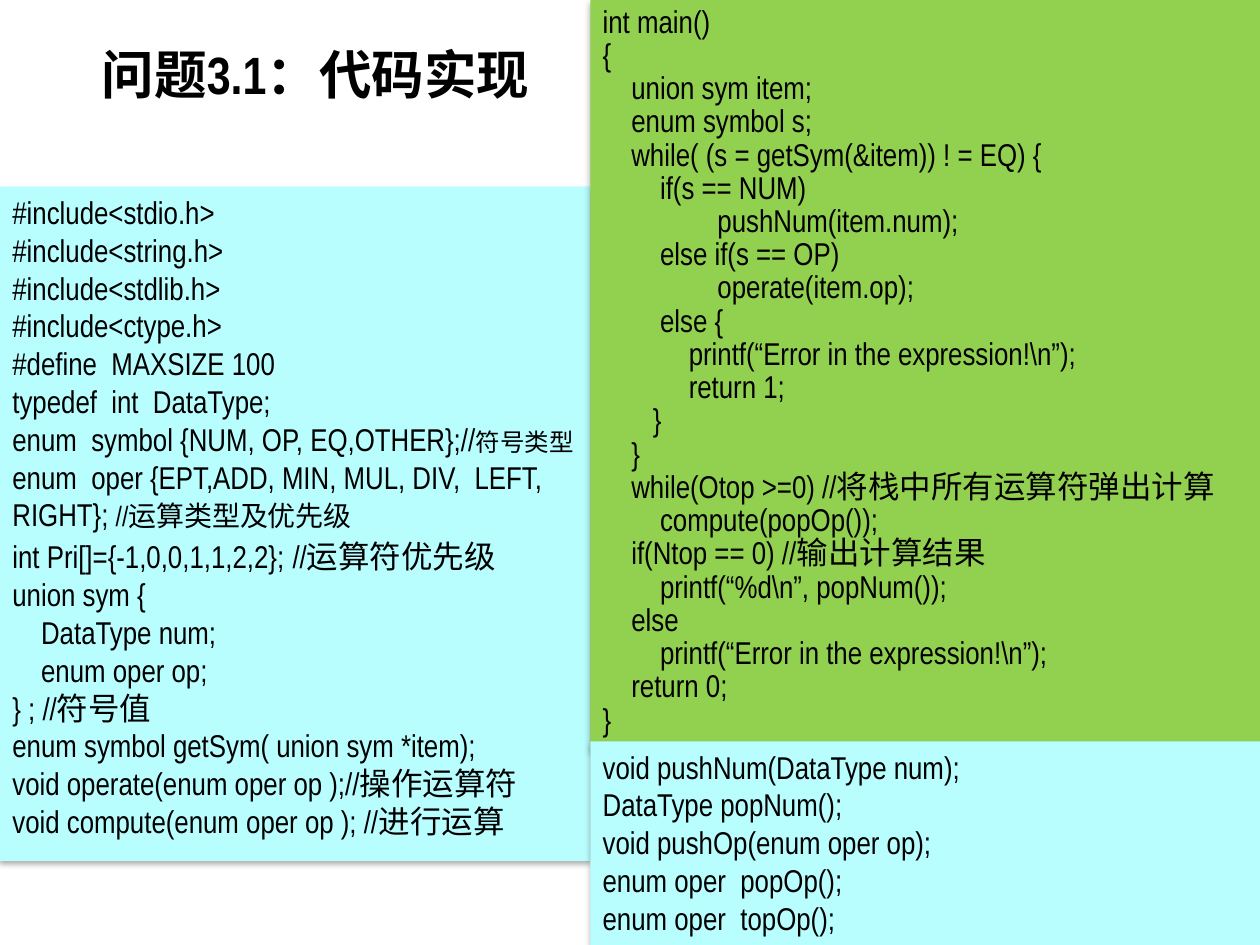
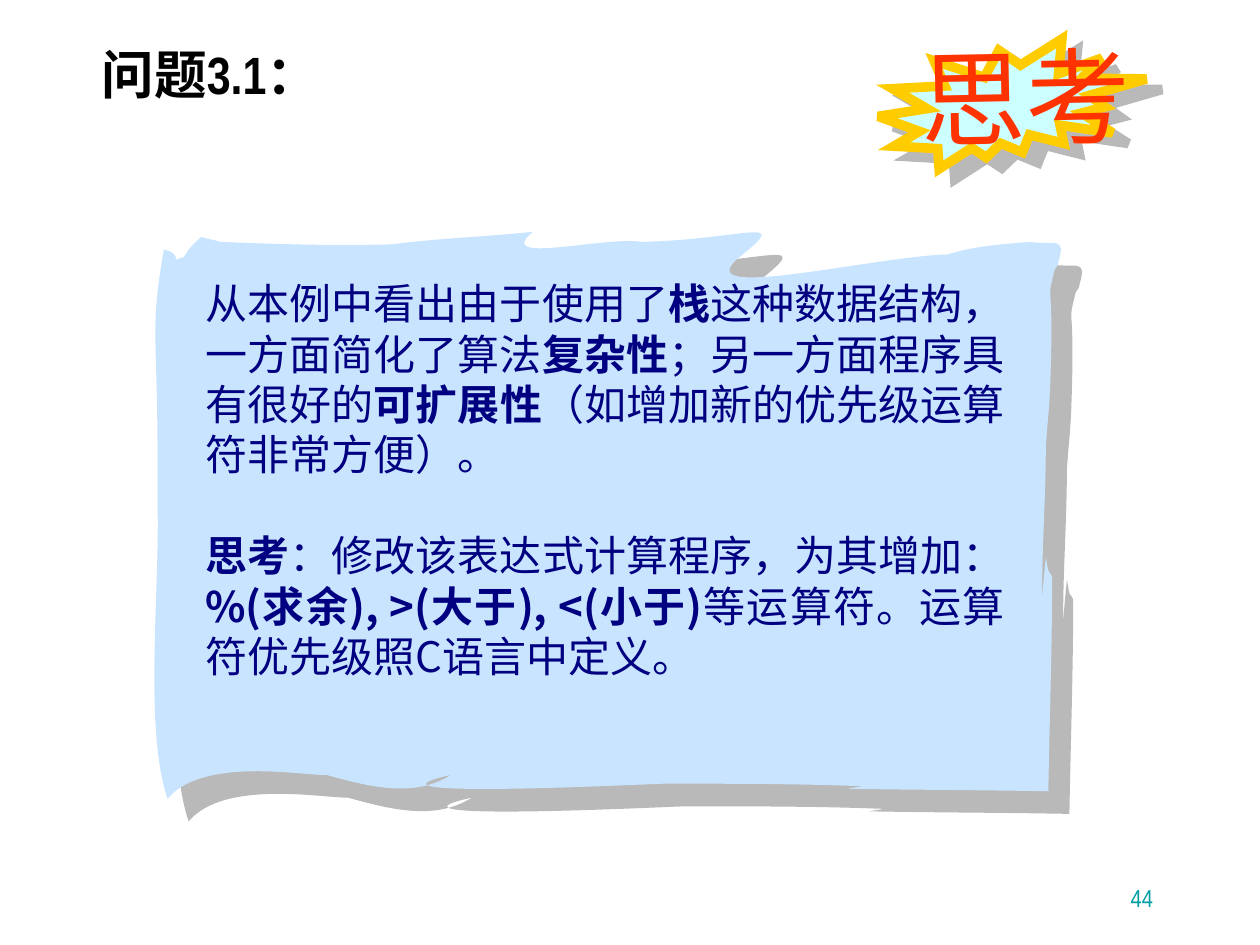
from pptx import Presentation
from pptx import util as u
from pptx.dml import color
from pptx.enum import shapes, text
from pptx.oxml import ns
from lxml import etree

theme = {
    "black": "000000", "cyan": "B9FEFF", "green": "92D050", "paper": "C9E4FF",
    "navy": "000080", "teal": "009EA1", "gray": "B9B9B9", "burst": "CCFFFF",
    "gold": "FFCC00", "red": "FF3300",
    "narrow": "Arial Narrow", "sans": "Noto Sans CJK SC", "display": "Noto Sans CJK JP",
    "title": 30, "code": 18, "gap": 20, "comment": 16, "small": 14, "body": 24, "word": 60,
}
title_format = {"latin": "narrow", "east": "display", "size": "title", "color": "black", "bold": True}
code_format = {"latin": "narrow", "east": "display", "size": "code", "color": "black", "bold": False}
body_format = {"latin": "sans", "east": "sans", "size": "body", "color": "navy", "bold": False}
number_format = {"latin": "narrow", "east": "display", "size": "small", "color": "teal", "bold": False}
word_format = {"latin": "display", "east": "display", "size": "word", "color": "red", "bold": False}


def write(shape, paragraphs, run_format, paragraph_format, anchor=text.MSO_ANCHOR.TOP):
    frame = shape.text_frame
    frame_format = {"word_wrap": True, "auto_size": text.MSO_AUTO_SIZE.NONE, "vertical_anchor": anchor}
    for name, value in frame_format.items():
        setattr(frame, name, value)
    for index, pieces in enumerate(paragraphs):
        paragraph = frame.add_paragraph() if index else frame.paragraphs[0]
        for name, value in paragraph_format.items():
            if index or name != "space_before":
                setattr(paragraph, name, value)
        for piece in [(pieces, {})] if isinstance(pieces, str) else pieces:
            style = {**run_format, **piece[1]}
            run = paragraph.add_run()
            run.text = piece[0]
            values = {"name": theme[style["latin"]], "size": u.Pt(theme[style["size"]]), "bold": style["bold"]}
            for name, value in values.items():
                setattr(run.font, name, value)
            run.font.color.rgb = color.RGBColor.from_string(theme[style["color"]])
            east = etree.SubElement(run.font._element, ns.qn("a:ea"))
            east.set("typeface", theme[style["east"]])


def paint(shape, fill, shadow_color, opacity, blur, distance, angle):
    shape.shadow.inherit = False
    shape.fill.solid()
    shape.fill.fore_color.rgb = color.RGBColor.from_string(theme[fill])
    shape.line.fill.background()
    effects = shape._element.spPr.find(ns.qn("a:effectLst"))
    shadow = etree.SubElement(effects, ns.qn("a:outerShdw"), {
        "blurRad": str(u.Pt(blur)), "dist": str(u.Pt(distance)),
        "dir": str(angle * 60000), "algn": "tl", "rotWithShape": "0"})
    tint = etree.SubElement(shadow, ns.qn("a:srgbClr"), val=theme[shadow_color])
    etree.SubElement(tint, ns.qn("a:alpha"), val=str(opacity * 1000))


presentation = Presentation()
presentation.slide_width = u.Pt(720)
presentation.slide_height = u.Pt(540)

slides = []
for heading in ["问题3.1：代码实现", "问题3.1："]:
    slide = presentation.slides.add_slide(presentation.slide_layouts[5])
    title = slide.shapes.title
    for name, value in {"left": 51, "top": 12.5, "width": 645, "height": 66}.items():
        setattr(title, name, u.Pt(value))
    write(title, [heading], title_format,
          {"alignment": text.PP_ALIGN.LEFT, "line_spacing": 0.8}, text.MSO_ANCHOR.MIDDLE)
    slides.append(slide)
code_slide, thinking_slide = slides

declarations = [
    "#include<stdio.h>",
    "#include<string.h>",
    "#include<stdlib.h>",
    "#include<ctype.h>",
    "#define  MAXSIZE 100",
    "typedef  int  DataType;",
    [("enum  symbol {NUM, OP, EQ,OTHER};//", {}), ("符号类型", {"size": "small"})],
    [("enum  oper {EPT,ADD, MIN, MUL, DIV,  LEFT, RIGHT}; ", {}),
     ("//运算类型及优先级", {"size": "comment"})],
    [("int Pri[]={-1,0,0,1,1,2,2};", {}), (" ", {"size": "gap"}), ("//运算符优先级", {})],
    "union sym {",
    "    DataType num;",
    "    enum oper op;",
    "} ; //符号值",
    "enum symbol getSym( union sym *item);",
    "void operate(enum oper op );//操作运算符",
    "void compute(enum oper op ); //进行运算",
]
main_function = [
    "int main()",
    "{",
    "    union sym item;",
    "    enum symbol s;",
    "    while( (s = getSym(&item)) ! = EQ) {",
    "        if(s == NUM)",
    "                pushNum(item.num);",
    "        else if(s == OP)",
    "                operate(item.op);",
    "        else {",
    "            printf(“Error in the expression!\\n”);",
    "            return 1;",
    "       }",
    "    }",
    "    while(Otop >=0) //将栈中所有运算符弹出计算",
    "        compute(popOp());",
    "    if(Ntop == 0) //输出计算结果",
    "        printf(“%d\\n”, popNum());",
    "    else",
    "        printf(“Error in the expression!\\n”);",
    "    return 0;",
    "}",
]
stack_functions = [
    "void pushNum(DataType num);",
    "DataType popNum();",
    "void pushOp(enum oper op);",
    "enum oper  popOp();",
    "enum oper  topOp();",
]
split = 337.3
code_panels = [
    (0, 106.7, split, 385.2, "cyan", declarations, None),
    (split, 0, 720 - split, 429, "green", main_function, u.Pt(19)),
    (split, 423.7, 720 - split, 116.3, "cyan", stack_functions, None),
]
for left, top, width, height, fill, lines, spacing in code_panels:
    panel = code_slide.shapes.add_shape(
        shapes.MSO_SHAPE.RECTANGLE, u.Pt(left), u.Pt(top), u.Pt(width), u.Pt(height))
    paint(panel, fill, "black", 32, 3.5, 2.2, 90)
    write(panel, lines, code_format, {"alignment": text.PP_ALIGN.LEFT, "line_spacing": spacing})

number_box = thinking_slide.shapes.add_textbox(u.Pt(530), u.Pt(490.3), u.Pt(136), u.Pt(34.6))
write(number_box, ["44"], number_format, {"alignment": text.PP_ALIGN.RIGHT}, text.MSO_ANCHOR.BOTTOM)

paper_start = (175, 192)
paper_curves = [
    (225, 194, 259, 195, 311, 194), (348, 189, 385, 188, 423, 184),
    (390, 211, 482, 187, 509, 192), (592, 190, 629, 170, 587, 204),
    (542, 241, 697, 203, 752, 202), (774, 195, 795, 194, 817, 192),
    (838, 195, 846, 187, 840, 208), (840, 211, 838, 212, 837, 214),
    (830, 243, 836, 216, 834, 290), (833, 327, 832, 325, 830, 355),
    (830, 394, 827, 434, 827, 473), (827, 480, 828, 460, 829, 453),
    (829, 449, 830, 446, 830, 442), (831, 446, 831, 449, 832, 453),
    (833, 455, 835, 456, 835, 459), (835, 515, 833, 571, 832, 628),
    (779, 627, 727, 627, 674, 626), (671, 626, 687, 624, 684, 624),
    (632, 622, 580, 622, 528, 622), (517, 622, 267, 635, 358, 615),
    (328, 634, 292, 624, 259, 615), (243, 616, 161, 600, 133, 634),
    (114, 578, 127, 469, 125, 398), (126, 254, 118, 270, 130, 198),
    (132, 199, 134, 199, 136, 200), (145, 207, 133, 208, 146, 204),
    (150, 197, 154, 193, 160, 188), (165, 190, 169, 190, 175, 192),
    (175, 192, 188, 197, 175, 192),
]
paper_group = thinking_slide.shapes.add_group_shape()
builder = paper_group.shapes.build_freeform(*paper_start, scale=u.Pt(0.72))
builder.add_line_segments(
    [curve[i:i + 2] for curve in paper_curves for i in (0, 2, 4)], close=True)
paper = builder.convert_to_shape()
paint(paper, "paper", "gray", 100, 0, 17.7, 47)
segments = list(paper._element.spPr.iter(ns.qn("a:lnTo")))
for first in range(0, len(segments), 3):
    bezier = etree.Element(ns.qn("a:cubicBezTo"))
    segments[first].addprevious(bezier)
    for segment in segments[first:first + 3]:
        bezier.append(segment[0])
        segment.getparent().remove(segment)

bold = {"bold": True}
discussion = [
    [("从本例中看出由于使用了", {}), ("栈", bold), ("这种数据结构，一方面简化了算法", {}),
     ("复杂性", bold), ("；另一方面程序具有很好的", {}), ("可扩展性", bold),
     ("（如增加新的优先级运算符非常方便）。", {})],
    [("思考", bold), ("：修改该表达式计算程序，为其增加：", {}),
     ("%(求余), >(大于), <(小于)", bold), ("等运算符。运算符优先级照C语言中定义。", {})],
]
discussion_box = paper_group.shapes.add_textbox(u.Pt(110.3), u.Pt(155.2), u.Pt(471), u.Pt(269.3))
write(discussion_box, discussion, body_format,
      {"alignment": text.PP_ALIGN.JUSTIFY, "space_before": u.Pt(28.8)})

burst_group = thinking_slide.shapes.add_group_shape()
burst = burst_group.shapes.add_shape(
    shapes.MSO_SHAPE.EXPLOSION2, u.Pt(501.8), u.Pt(22.3), u.Pt(153.4), u.Pt(74.2))
paint(burst, "burst", "gray", 100, 0, 10.8, 34)
burst.line.color.rgb = color.RGBColor.from_string(theme["gold"])
burst.line.width = u.Pt(5.5)
etree.SubElement(burst._element.spPr.find(ns.qn("a:ln")), ns.qn("a:miter"), lim="800000")

word_box = burst_group.shapes.add_textbox(u.Pt(519), u.Pt(14.8), u.Pt(175.7), u.Pt(79.2))
word_box.rotation = 358.9
write(word_box, ["思考"], word_format, {"alignment": text.PP_ALIGN.LEFT})

presentation.save("out.pptx")
